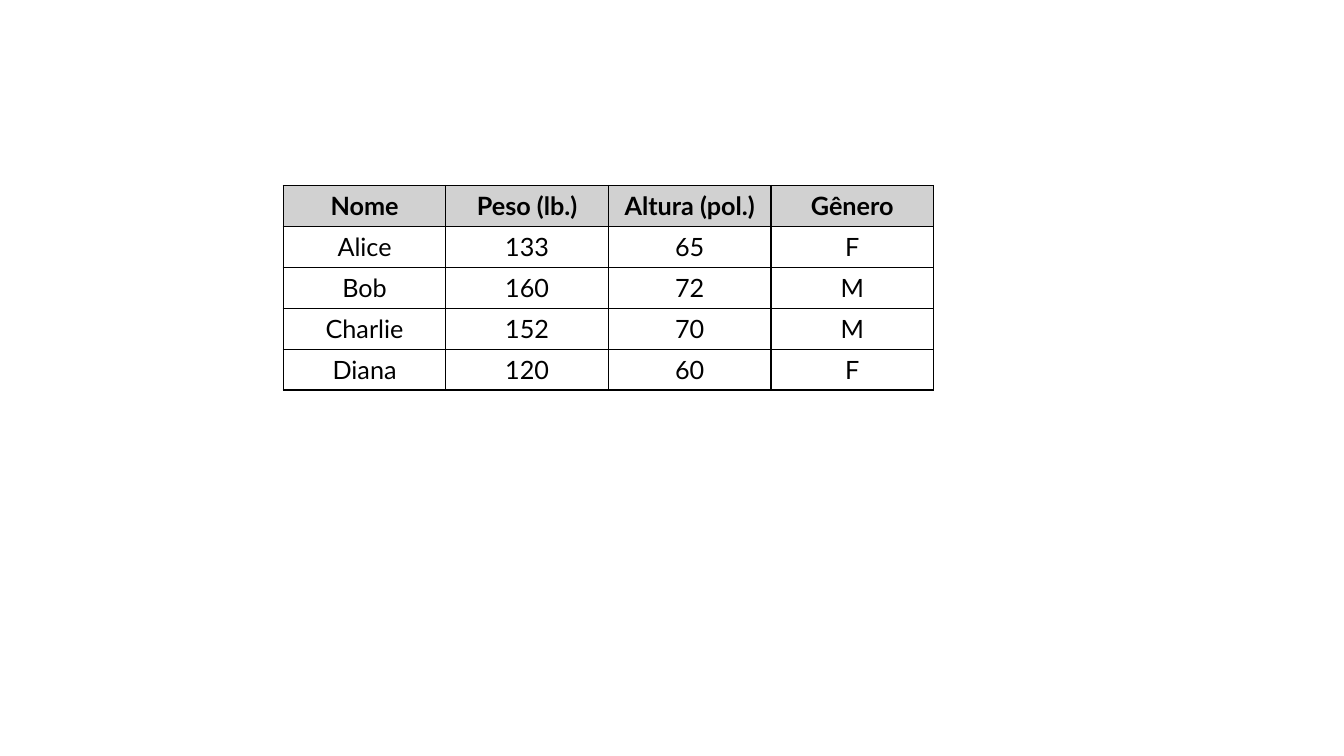
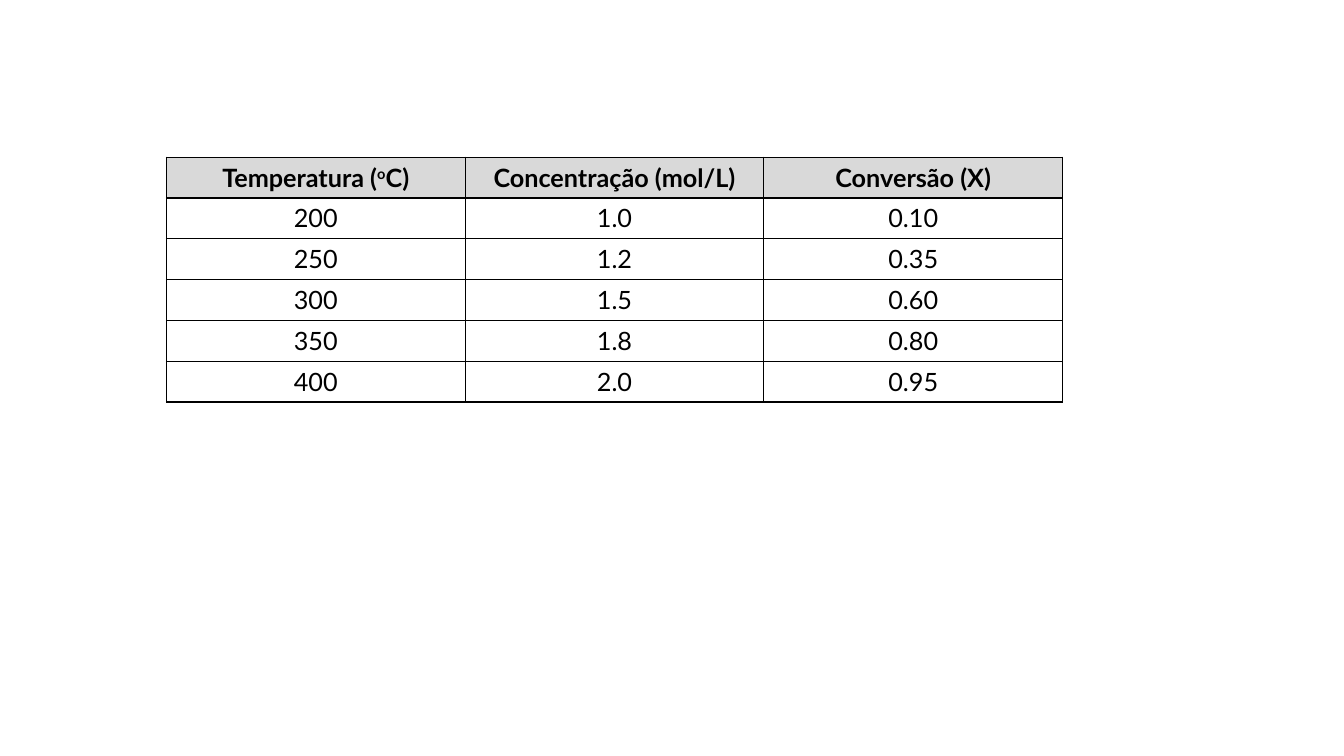
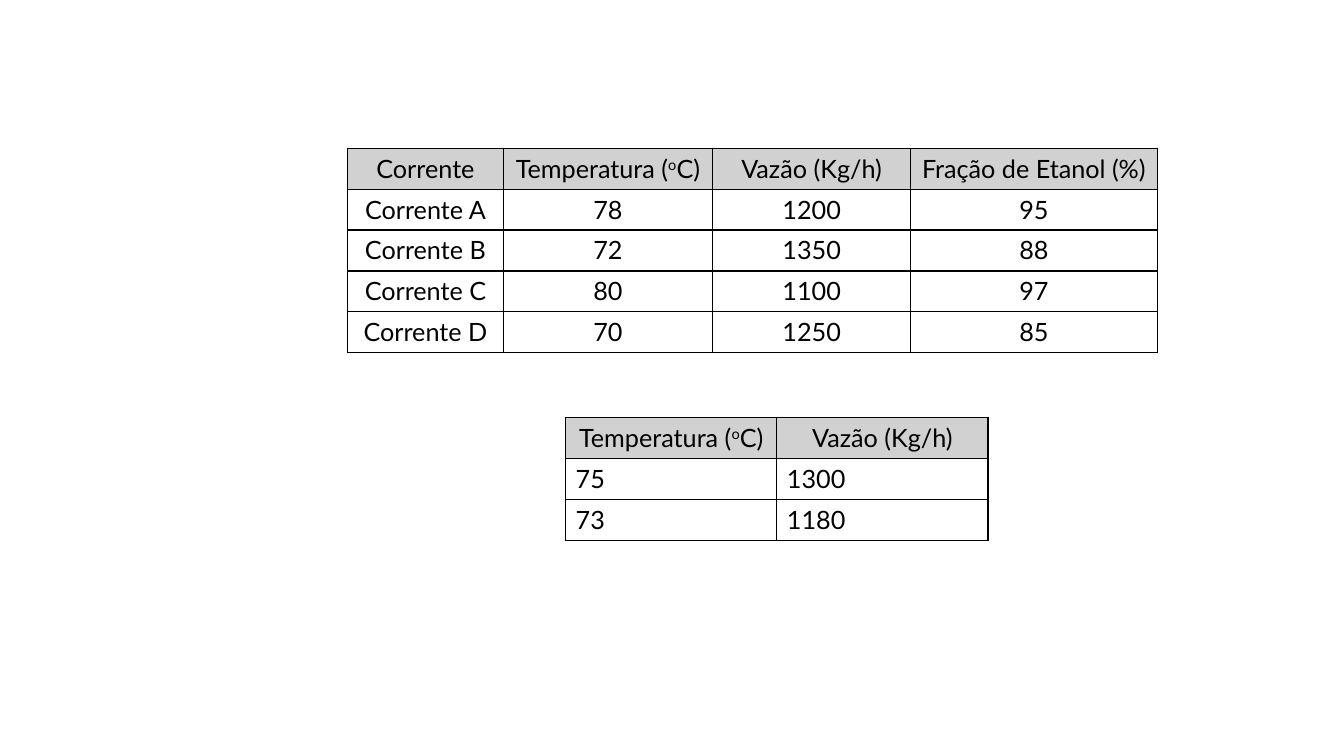
from dataclasses import dataclass

import lxml.etree
import pptx
import pptx.dml.color
import pptx.enum.text
import pptx.oxml.ns
import pptx.slide
import pptx.table
import pptx.util
from pptx.util import Inches

COLORS = {"text": "000000", "border": "000000", "gray": "D1D1D1", "light_gray": "D9D9D9"}
FONT_FORMAT = {"name": "Lato", "size": pptx.util.Pt(18)}
BORDER_WIDTH = pptx.util.Pt(1)
CENTER = pptx.enum.text.PP_ALIGN.CENTER
LEFT = pptx.enum.text.PP_ALIGN.LEFT
TEMPERATURE = "Temperatura (^o^C)"
FLOW = "Vazão (Kg/h)"


@dataclass(frozen=True)
class DataTable:
    """A bordered table; column_widths is needed only for unequal columns."""

    left: float
    top: float
    width: float
    height: float
    rows: list[tuple[str, ...]]
    header_fill: str = "gray"
    header_bold: bool = False
    body_alignment: pptx.enum.text.PP_ALIGN = CENTER
    column_widths: tuple[float, ...] = ()


SLIDES = [
    [DataTable(2.81, 1.84, 6.45, 2.03, [
        ("Nome", "Peso (lb.)", "Altura (pol.)", "Gênero"),
        ("Alice", "133", "65", "F"),
        ("Bob", "160", "72", "M"),
        ("Charlie", "152", "70", "M"),
        ("Diana", "120", "60", "F"),
    ], header_bold=True)],
    [DataTable(1.65, 1.56, 8.89, 2.43, [
        (TEMPERATURE, "Concentração (mol/L)", "Conversão (X)"),
        ("200", "1.0", "0.10"),
        ("250", "1.2", "0.35"),
        ("300", "1.5", "0.60"),
        ("350", "1.8", "0.80"),
        ("400", "2.0", "0.95"),
    ], header_fill="light_gray", header_bold=True)],
    [
        DataTable(3.45, 1.47, 8.03, 2.03, [
            ("Corrente", TEMPERATURE, FLOW, "Fração de Etanol (%)"),
            ("Corrente A", "78", "1200", "95"),
            ("Corrente B", "72", "1350", "88"),
            ("Corrente C", "80", "1100", "97"),
            ("Corrente D", "70", "1250", "85"),
        ], column_widths=(1.54, 2.08, 1.96, 2.45)),
        DataTable(5.61, 4.14, 4.19, 1.22, [
            (TEMPERATURE, FLOW),
            ("75", "1300"),
            ("73", "1180"),
        ], body_alignment=LEFT),
    ],
]


def rgb(color: str) -> pptx.dml.color.RGBColor:
    return pptx.dml.color.RGBColor.from_string(COLORS[color])


def add_borders(cell: pptx.table._Cell) -> None:
    """Line all four sides; the lines must precede the fill in the XML."""
    qualified = pptx.oxml.ns.qn
    properties = cell._tc.get_or_add_tcPr()
    for index, side in enumerate(("lnL", "lnR", "lnT", "lnB")):
        line = lxml.etree.Element(qualified(f"a:{side}"), w=str(BORDER_WIDTH))
        fill = lxml.etree.SubElement(line, qualified("a:solidFill"))
        lxml.etree.SubElement(fill, qualified("a:srgbClr"), val=COLORS["border"])
        properties.insert(index, line)


def write_text(cell: pptx.table._Cell, text: str, bold: bool) -> None:
    """Write the text, raising whatever stands between carets."""
    paragraph = cell.text_frame.paragraphs[0]
    for index, part in enumerate(text.split("^")):
        run = paragraph.add_run()
        run.text = part
        for name, value in (FONT_FORMAT | {"bold": bold}).items():
            setattr(run.font, name, value)
        run.font.color.rgb = rgb("text")
        if index % 2:
            run._r.get_or_add_rPr().set("baseline", "30000")


def draw_table(slide: pptx.slide.Slide, data: DataTable) -> None:
    table = slide.shapes.add_table(
        len(data.rows), len(data.rows[0]),
        Inches(data.left), Inches(data.top), Inches(data.width), Inches(data.height),
    ).table
    table.first_row = table.horz_banding = False
    for column, width in zip(table.columns, data.column_widths):
        column.width = Inches(width)
    for row_index, texts in enumerate(data.rows):
        is_header = row_index == 0
        for column_index, text in enumerate(texts):
            cell = table.cell(row_index, column_index)
            write_text(cell, text, is_header and data.header_bold)
            cell.text_frame.paragraphs[0].alignment = CENTER if is_header else data.body_alignment
            if is_header:
                cell.fill.solid()
                cell.fill.fore_color.rgb = rgb(data.header_fill)
            else:
                cell.fill.background()
            add_borders(cell)


def main() -> None:
    presentation = pptx.Presentation()
    presentation.slide_width = Inches(13.33)
    presentation.slide_height = Inches(7.5)
    for tables in SLIDES:
        slide = presentation.slides.add_slide(presentation.slide_layouts[6])
        for data in tables:
            draw_table(slide, data)
    presentation.save("out.pptx")


if __name__ == "__main__":
    main()
